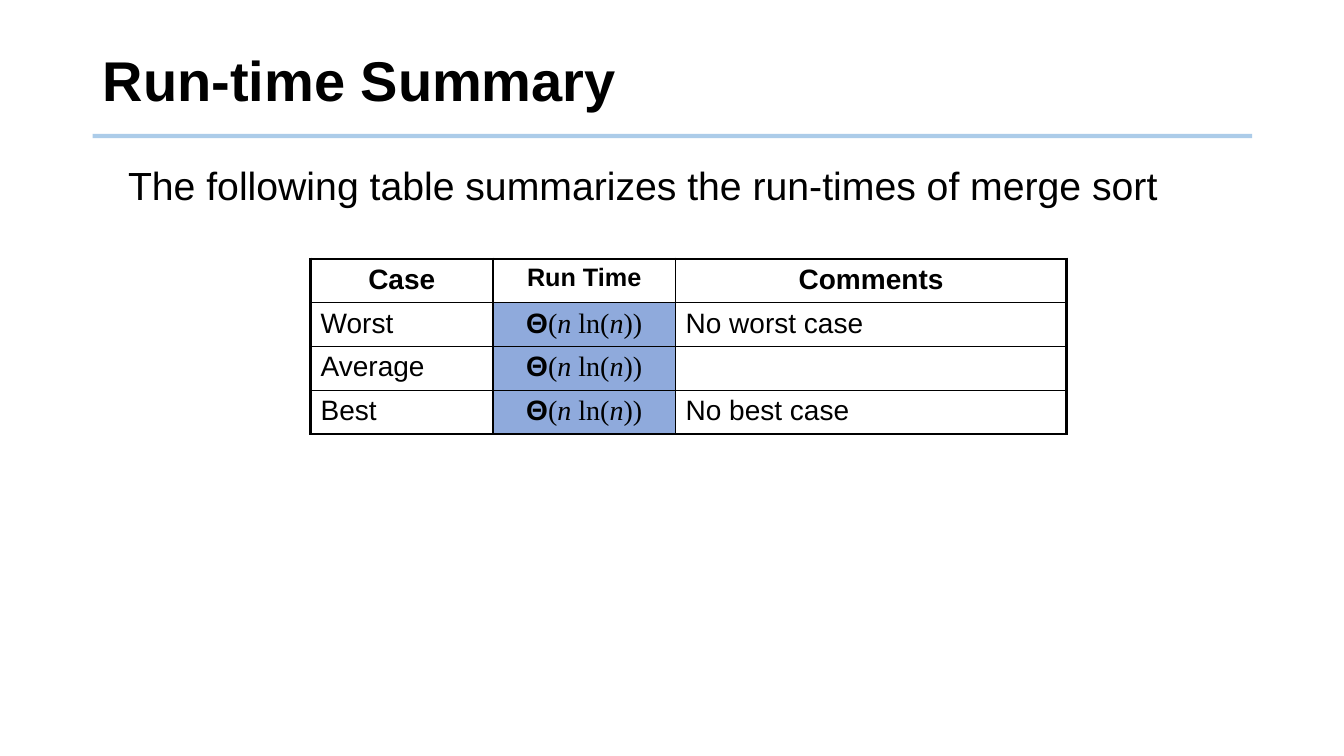
from lxml import etree
from pptx import Presentation
from pptx.dml.color import RGBColor
from pptx.enum.shapes import MSO_CONNECTOR as CONN
from pptx.enum.text import MSO_ANCHOR as ANCHOR, PP_ALIGN as ALIGN
from pptx.oxml import parse_xml
from pptx.oxml.ns import nsdecls, qn
from pptx.util import Inches, Pt

BLACK = RGBColor(0, 0, 0)
RULE_BLUE = RGBColor(0x5B, 0x9B, 0xD5)
CELL_BLUE = RGBColor(0x8F, 0xAA, 0xDC)
LEFT, WIDTH = 0.92, 11.5
THIN, THICK = 1, 2.25


def add_run(p, text, size=20, font="Arial", bold=False, italic=False):
    r = p.add_run()
    r.text = text
    r.font.size, r.font.name = Pt(size), font
    r.font.bold, r.font.italic = bold, italic
    r.font.color.rgb = BLACK


def set_borders(cell, widths):
    tc_pr = cell._tc.get_or_add_tcPr()
    for i, (side, width) in enumerate(zip("LRTB", widths)):
        tc_pr.insert(i, parse_xml(
            f'<a:ln{side} {nsdecls("a")} w="{Pt(width)}"><a:solidFill>'
            f'<a:srgbClr val="{BLACK}"/></a:solidFill></a:ln{side}>'))


prs = Presentation()
prs.slide_width, prs.slide_height = Inches(13.33), Inches(7.5)
s = prs.slides.add_slide(prs.slide_layouts[5])

# Half-transparent rule under the title
rule = s.shapes.add_connector(CONN.STRAIGHT, Inches(LEFT), Inches(1.35),
                              Inches(LEFT + WIDTH), Inches(1.35))
rule.line.color.rgb = RULE_BLUE
rule.line.width = Pt(3)
color = rule.line._ln.find(".//" + qn("a:srgbClr"))
etree.SubElement(color, qn("a:alpha"), val="50000")
etree.SubElement(rule._element.spPr, qn("a:effectLst"))

# Title
title = s.shapes.title
title.left, title.top = Inches(LEFT), Inches(0.28)
title.width, title.height = Inches(WIDTH), Inches(1.1)
tf = title.text_frame
tf.vertical_anchor = ANCHOR.MIDDLE
p = tf.paragraphs[0]
p.alignment, p.line_spacing = ALIGN.LEFT, 0.9
add_run(p, "Run-time Summary", size=40, bold=True)

# Introductory sentence
intro = s.shapes.add_textbox(Inches(LEFT), Inches(1.6), Inches(WIDTH), Inches(5.15))
tf = intro.text_frame
tf.word_wrap = True
tf.margin_left = Inches(0.35)
p = tf.paragraphs[0]
p.line_spacing = 0.9
add_run(p, "The following table summarizes the run-times of merge sort", size=28)

# Run-time table: each cell is a list of (text, format) runs
MATH = dict(font="Times New Roman")
MATH_ITALIC = dict(MATH, italic=True)
HEAD = dict(bold=True)
run_time = [("Θ", HEAD), ("(", MATH), ("n ", MATH_ITALIC), ("ln(", MATH),
            ("n", MATH_ITALIC), ("))", MATH)]
rows = [
    [[("Case", HEAD)], [("Run Time", dict(HEAD, size=18))], [("Comments", HEAD)]],
    [[("Worst", {})], run_time, [("No worst case", {})]],
    [[("Average", {})], run_time, []],
    [[("Best", {})], run_time, [("No best case", {})]],
]
col_widths = [1.81, 1.81, 3.88]
row_height = 0.43
last_row, last_col = len(rows) - 1, len(col_widths) - 1

table = s.shapes.add_table(len(rows), len(col_widths), Inches(3.08), Inches(2.57),
                           Inches(sum(col_widths)),
                           Inches(row_height * len(rows))).table
table.first_row = table.horz_banding = False
for col, width in zip(table.columns, col_widths):
    col.width = Inches(width)

for i, row in enumerate(rows):
    table.rows[i].height = Inches(row_height)
    for j, runs in enumerate(row):
        cell = table.cell(i, j)
        p = cell.text_frame.paragraphs[0]
        p.alignment = ALIGN.CENTER if i == 0 or j == 1 else ALIGN.LEFT
        for text, style in runs:
            add_run(p, text, **style)
        if i > 0 and j == 1:
            cell.fill.solid()
            cell.fill.fore_color.rgb = CELL_BLUE
        else:
            cell.fill.background()
        outer = (j == 0, j == last_col, i == 0, i == last_row)
        set_borders(cell, [THICK if edge else THIN for edge in outer])

prs.save("out.pptx")
